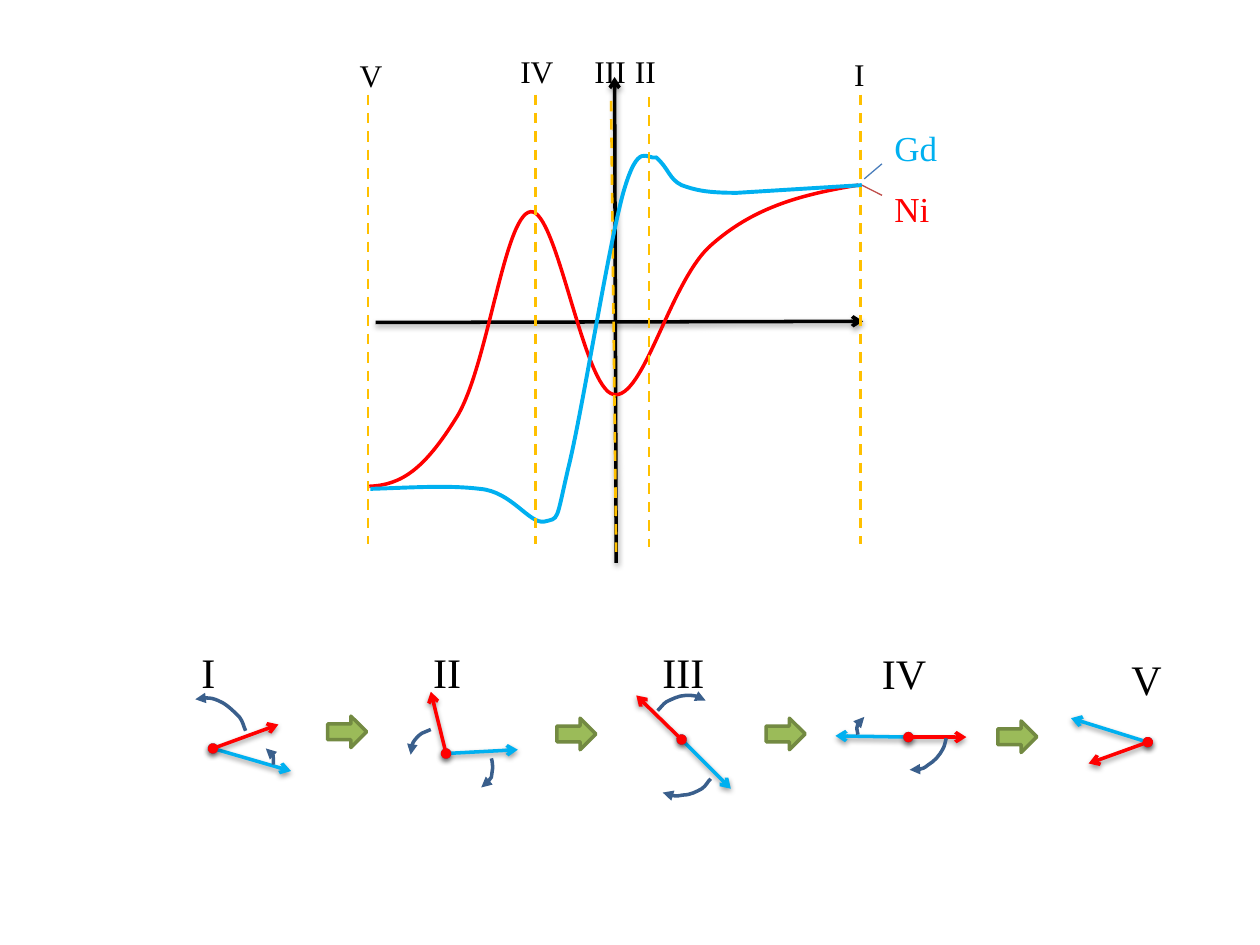
"""Builds a slide with two magnetization curves and the five spin configurations along them."""
from lxml import etree
from pptx import Presentation
from pptx import util as u
from pptx.dml.color import RGBColor
from pptx.enum import dml, shapes, text
from pptx.oxml import ns

FONT = "Times New Roman"
BLACK = RGBColor(0x00, 0x00, 0x00)
RED = RGBColor(0xFF, 0x00, 0x00)
BLUE = RGBColor(0x00, 0xB0, 0xF0)
GOLD = RGBColor(0xFF, 0xC0, 0x00)
NAVY = RGBColor(0x3A, 0x5F, 0x8C)
GREEN = RGBColor(0x9B, 0xBB, 0x59)
DARK_GREEN = RGBColor(0x73, 0x8A, 0x42)
BLUE_LEADER = RGBColor(0x4B, 0x7E, 0xBC)
RED_LEADER = RGBColor(0xBF, 0x4C, 0x48)

NI_CURVE = [(490.3, 105.8), (455, 111.6), (429.8, 119.5), (406.8, 139.7),
            (383, 159.8), (367.9, 229), (350.6, 225.4),
            (333.4, 222.5), (318.2, 118.8), (303.1, 121),
            (288, 123.1), (278.6, 211), (260.6, 239),
            (242.6, 267.8), (229.7, 277.2), (211, 277.9)]
GD_CURVE = [(492.5, 105.8), (421.2, 110.2),
            (403.9, 110.2), (397.4, 108.7), (389.5, 105.8),
            (382.3, 102.2), (382.3, 96.5), (375.1, 90),
            (369.4, 91.4), (365, 80), (356.4, 109.4),
            (347.8, 139.7), (332.6, 236.2), (324.7, 267.8),
            (317.5, 298.8), (319.7, 295.9), (311, 298.1),
            (302.4, 299.5), (292.3, 280.8), (274.3, 279.4),
            (256.3, 277.2), (236.2, 278.6), (211.7, 279.4)]

FIELD_LABELS = [("I", 481, 28, 18), ("II", 355.7, 26, 26.6), ("III", 332.6, 26, 33.1),
                ("IV", 290.2, 26, 42.5), ("V", 198.4, 28.4, 35.3)]
FIELD_LINES = [(370.8, 55.4), (491.8, 54), (306, 54), (210.2, 54)]

SPIN_STATES = [
    ("I", (108, 365.8, 21.6), (121.7, 427.7), (166.3, 440.6), (159.1, 414), [
        [(140.4, 417.6), (139, 414.7), (139, 412.6), (136.8, 409.7), (133.9, 406.8),
         (129.6, 402.5), (126, 401), (121.7, 398.9), (117.4, 398.2), (111.6, 399.6)],
        [(156.2, 437), (156.2, 435.6), (156.2, 434.2), (156.2, 433.4), (156.2, 432),
         (156.2, 431.3), (155.5, 430.6), (154.8, 429.8), (153.4, 427.7), (151.9, 427.7)]]),
    ("II", (240.5, 365.8, 33.1), (254.9, 430.6), (295.9, 428.4), (246.2, 395.3), [
        [(246.2, 416.9), (244.1, 417.6), (243.4, 417.6), (241.2, 419), (239.8, 419.8),
         (237.6, 421.9), (236.2, 424.1), (235.4, 426.2), (234, 428.4), (234.7, 431.3)],
        [(280.8, 433.4), (281.5, 435.6), (281.5, 437.8), (281.5, 439.2), (281.5, 441.4),
         (281.5, 442.1), (280.8, 444.2), (279.4, 445.7), (277.9, 450), (275, 450)]]),
    ("III", (371.5, 365.8, 45.4), (389.5, 422.6), (417.6, 450.7), (363.6, 397.4), [
        [(375.8, 406.1), (378, 403.9), (378.7, 402.5), (380.9, 401), (383.8, 399.6),
         (388.1, 397.4), (391.7, 397.4), (396, 397.4), (399.6, 397.4), (403.2, 400.3)],
        [(406.1, 445), (403.9, 447.1), (403.9, 448.6), (401, 450.7), (398.2, 452.2),
         (394.6, 454.3), (390.2, 454.3), (386.6, 455), (383, 455), (378.7, 452.9)]]),
    ("IV", (496.8, 366.5, 44.6), (519.1, 421.2), (477.4, 420.5), (552.2, 421.2), [
        [(540.7, 421.9), (540, 424.1), (540, 426.2), (538.6, 428.4), (537.1, 431.3),
         (534.2, 434.9), (530.6, 437), (527.8, 439.2), (524.2, 440.6), (519.8, 439.9)],
        [(490.3, 419.8), (490.3, 418.3), (489.6, 417.6), (489.6, 416.2), (490.3, 414.7),
         (490.3, 412.6), (491, 411.1), (491.8, 410.4), (492.5, 409.7), (493.9, 409.7)]]),
    ("V", (639.4, 370.1, 44.6), (655.9, 424.1), (612, 410.4), (622.1, 436.3), []),
]
BLOCK_ARROWS = [(187.2, 409.2), (318.2, 410.4), (437.8, 410.4), (570.2, 412)]


def set_ends(shape, head=None, tail=None):
    """Put line-end marks on the start and the end of a line."""
    line = shape.element.spPr.find(ns.qn("a:ln"))
    for tag, kind in (("a:headEnd", head), ("a:tailEnd", tail)):
        if kind:
            etree.SubElement(line, ns.qn(tag), type=kind)


def add_line(slide, start, end, color, width, dashed=False, head=None, tail=None, shadow=False):
    """Draw a straight line, optionally dashed, marked at its ends or shadowed."""
    points = [u.Pt(value) for value in (*start, *end)]
    line = slide.shapes.add_connector(shapes.MSO_CONNECTOR.STRAIGHT, *points)
    line.line.color.rgb = color
    line.line.width = u.Pt(width)
    if dashed:
        line.line.dash_style = dml.MSO_LINE.DASH
    set_ends(line, head, tail)
    effects = etree.SubElement(line.element.spPr, ns.qn("a:effectLst"))
    if shadow:
        outer = etree.SubElement(effects, ns.qn("a:outerShdw"), blurRad=str(u.Pt(3.1)),
                                 dist=str(u.Pt(1.6)), dir="5400000", rotWithShape="0")
        tint = etree.SubElement(outer, ns.qn("a:srgbClr"), val=str(BLACK))
        etree.SubElement(tint, ns.qn("a:alpha"), val="38000")


def bend_segments(curve, straight):
    """Join each three segments after the leading straight ones into one cubic Bezier."""
    segments = list(curve.element.iter(ns.qn("a:lnTo")))[straight:]
    for first in range(0, len(segments), 3):
        bezier = etree.Element(ns.qn("a:cubicBezTo"))
        segments[first].addprevious(bezier)
        for segment in segments[first:first + 3]:
            bezier.append(segment[0])
            segment.getparent().remove(segment)


def add_curve(slide, controls, color, width, straight=0, tail=None):
    """Draw an open smooth curve through Bezier control points."""
    points = [(u.Pt(x), u.Pt(y)) for x, y in controls]
    builder = slide.shapes.build_freeform(*points[0])
    builder.add_line_segments(points[1:], close=False)
    curve = builder.convert_to_shape()
    bend_segments(curve, straight)
    curve.shadow.inherit = False
    curve.fill.background()
    curve.line.color.rgb = color
    curve.line.width = u.Pt(width)
    set_ends(curve, tail=tail)


def add_label(slide, wording, left, top, width, size, color=BLACK):
    """Write a short one-line label."""
    box = slide.shapes.add_textbox(u.Pt(left), u.Pt(top), u.Pt(width), u.Pt(size * 1.2 + 7.2))
    frame = box.text_frame
    frame.word_wrap = True
    frame.auto_size = text.MSO_AUTO_SIZE.SHAPE_TO_FIT_TEXT
    frame.text = wording
    font = frame.paragraphs[0].runs[0].font
    font.name = FONT
    font.size = u.Pt(size)
    font.color.rgb = color


def add_block_arrow(slide, left, top):
    """Draw a green block arrow between two spin states."""
    arrow = slide.shapes.add_shape(shapes.MSO_SHAPE.RIGHT_ARROW,
                                   u.Pt(left), u.Pt(top), u.Pt(22.3), u.Pt(18))
    arrow.shadow.inherit = False
    arrow.fill.solid()
    arrow.fill.fore_color.rgb = GREEN
    arrow.line.color.rgb = DARK_GREEN
    arrow.line.width = u.Pt(2)


def add_graph(slide):
    """Draw the axes, both curves, the field lines and their labels."""
    for start, end in (((214.6, 184.3), (493.2, 183.6)), ((352.1, 321.7), (351.2, 44))):
        add_line(slide, start, end, BLACK, 2, tail="arrow", shadow=True)
    add_curve(slide, NI_CURVE, RED, 2)
    add_line(slide, (349.2, 57.6), (352.1, 315.4), GOLD, 1.5, dashed=True)
    add_curve(slide, GD_CURVE, BLUE, 2.25, straight=1)
    for x, top in FIELD_LINES:
        add_line(slide, (x, top), (x, top + 257), GOLD, 1.5, dashed=True)
    for wording, left, top, width in FIELD_LABELS:
        add_label(slide, wording, left, top, width, 18)
    add_line(slide, (504, 93.6), (493.9, 102.2), BLUE_LEADER, 0.75)
    add_line(slide, (504, 111.6), (492.5, 105.8), RED_LEADER, 0.75)
    add_label(slide, "Gd", 504, 68.8, 48.2, 20, BLUE)
    add_label(slide, "Ni", 504, 103.7, 48.2, 20, RED)


def add_spin_state(slide, wording, label, center, blue_tip, red_tip, arcs):
    """Draw a labelled pair of spin arrows with their turning arcs."""
    add_label(slide, wording, *label, 24)
    for tip, color in ((blue_tip, BLUE), (red_tip, RED)):
        add_line(slide, center, tip, color, 2, head="oval", tail="arrow", shadow=True)
    for arc in arcs:
        add_curve(slide, arc, NAVY, 2, tail="triangle")


def main():
    """Build and save the slide."""
    deck = Presentation()
    deck.slide_width, deck.slide_height = u.Pt(720), u.Pt(540)
    slide = deck.slides.add_slide(deck.slide_layouts[6])
    add_graph(slide)
    for state in SPIN_STATES:
        add_spin_state(slide, *state)
    for left, top in BLOCK_ARROWS:
        add_block_arrow(slide, left, top)
    deck.save("out.pptx")


if __name__ == "__main__":
    main()
